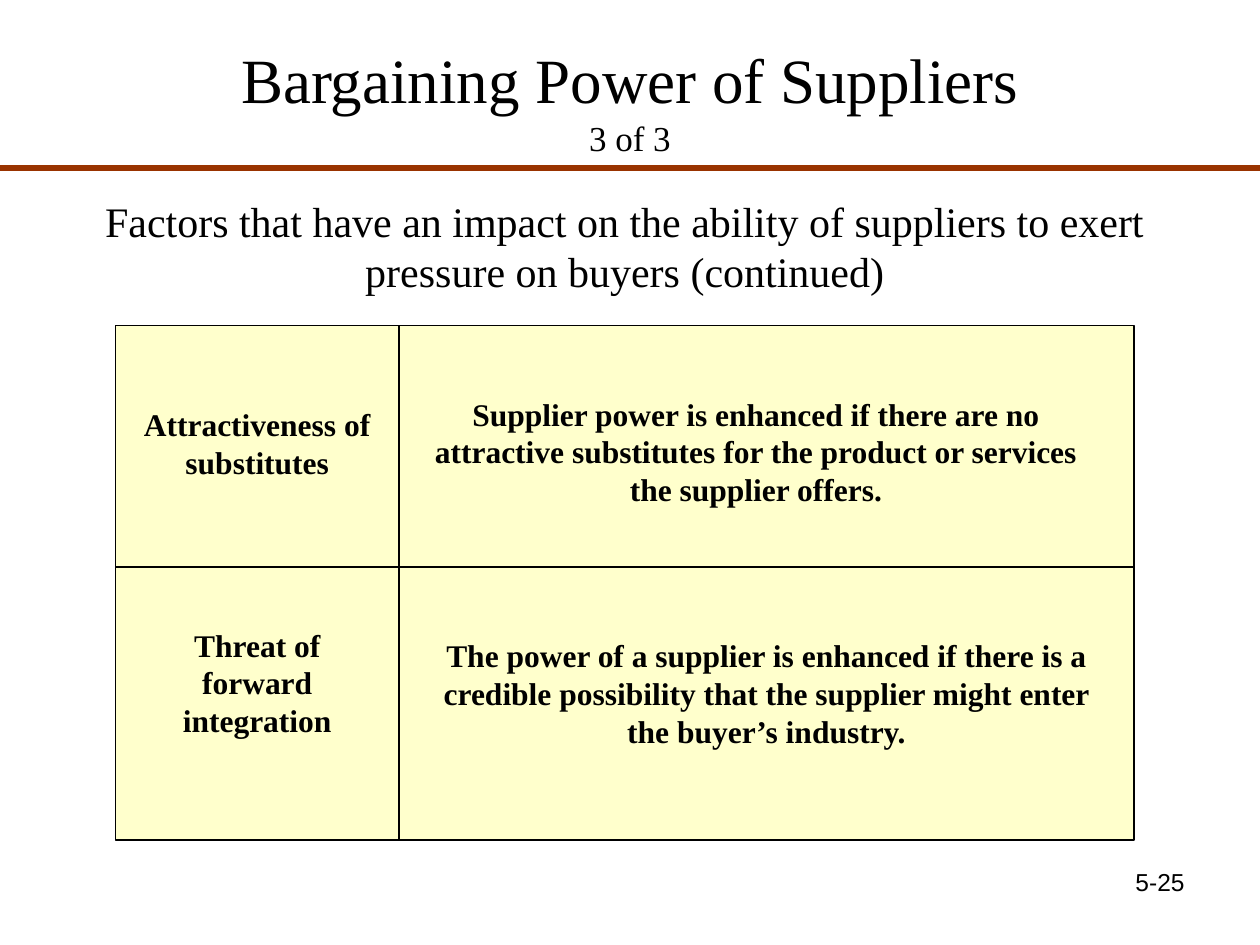
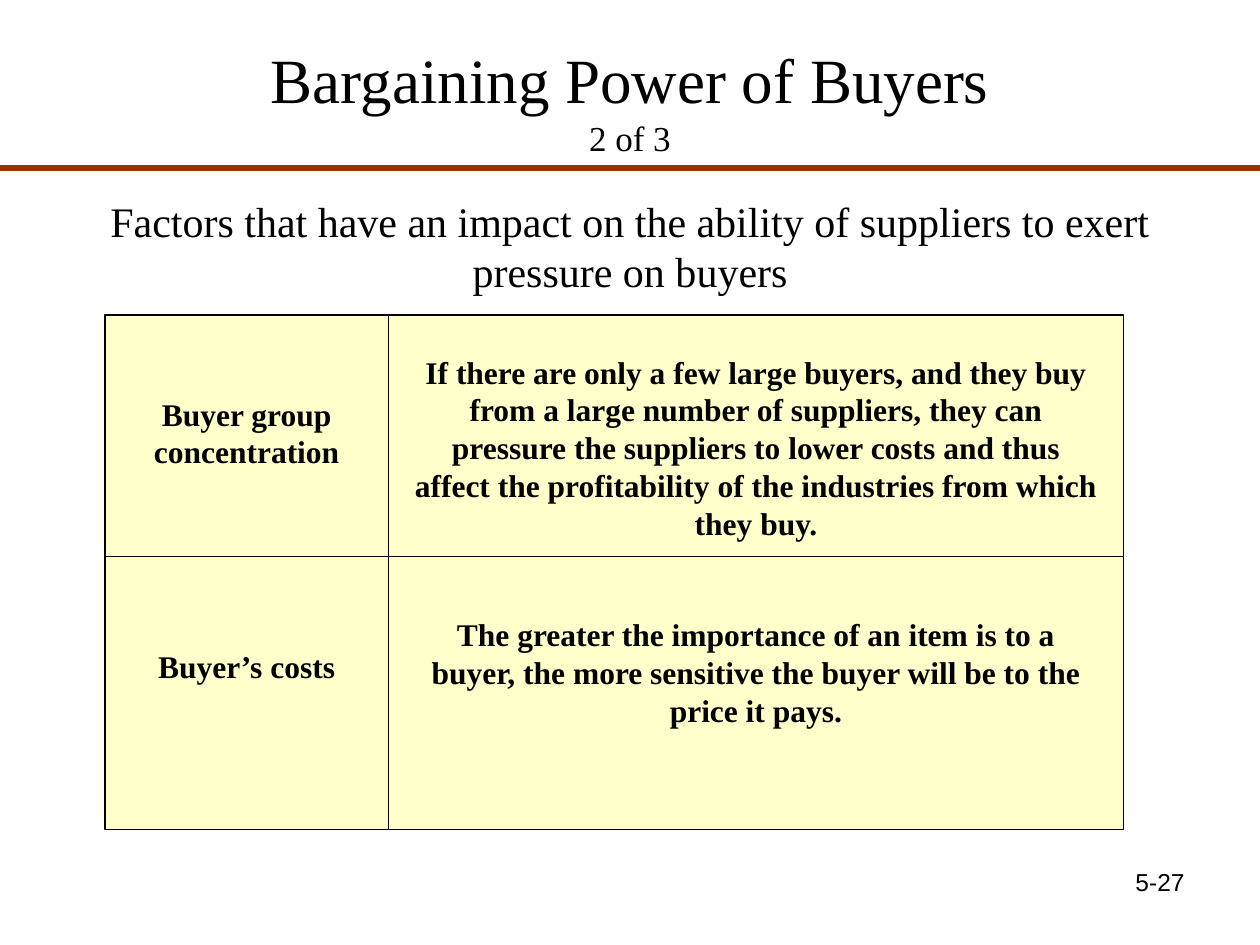
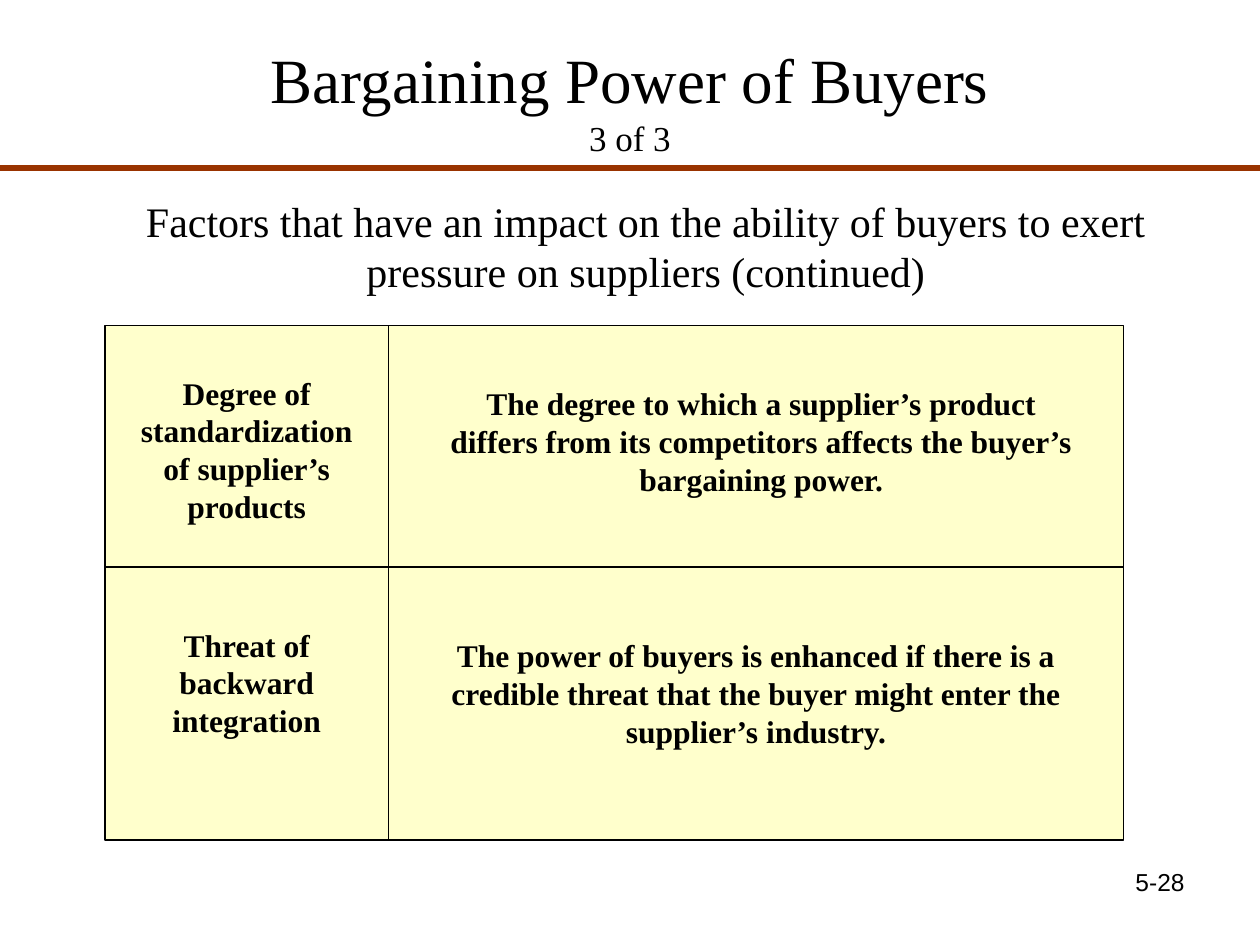
import dataclasses

import lxml.etree
import pptx
import pptx.dml.color
import pptx.enum.shapes
import pptx.enum.text
import pptx.oxml.ns
import pptx.util

Pt = pptx.util.Pt
BLACK = pptx.dml.color.RGBColor(0x00, 0x00, 0x00)
RUST = pptx.dml.color.RGBColor(0x99, 0x33, 0x00)
CREAM = pptx.dml.color.RGBColor(0xFF, 0xFF, 0xCC)
SERIF = "Times New Roman"
SANS = "Arial"
ALIGN = pptx.enum.text.PP_ALIGN

SLIDE_WIDTH, SLIDE_HEIGHT = 720, 540
TITLE_BOX = (36, 12, 648, 90)
BAND_TOP = 96
NUMBER_BOX = (516, 492, 168, 37.5)
GRID_WIDTH, GRID_HEIGHT = 582, 294
LABEL_WIDTH, FIRST_ROW_HEIGHT = 162, 138
CELL_MARGIN = 6
GRID_LINE = 0.74


@dataclasses.dataclass
class Factor:
    """One grid row: texts, their drop within the row and the detail's side margin."""

    label: str
    label_drop: float
    detail: str
    detail_drop: float
    detail_indent: float = CELL_MARGIN
    detail_width: float = 408


@dataclasses.dataclass
class FactorSlide:
    """The content of one slide."""

    title: str
    subtitle: str
    heading: str
    heading_box: tuple
    grid_origin: tuple
    factors: tuple
    number: str


SLIDES = (
    FactorSlide(
        "Bargaining Power of Suppliers", "3 of 3",
        "Factors that have an impact on the ability of suppliers to exert "
        "pressure on buyers (continued)",
        (48, 108, 618, 65), (66, 186),
        (
            Factor("Attractiveness of substitutes", 42,
                   "Supplier power is enhanced if there are no attractive substitutes "
                   "for the product or services the supplier offers.", 36, 0),
            Factor("Threat of forward integration", 30,
                   "The power of a supplier is enhanced if there is a credible possibility "
                   "that the supplier might enter the buyer’s industry.", 36),
        ),
        "5-25",
    ),
    FactorSlide(
        "Bargaining Power of Buyers", "2 of 3",
        "Factors that have an impact on the ability of suppliers to exert "
        "pressure on buyers",
        (42, 108, 636, 65), (60, 180),
        (
            Factor("Buyer group concentration", 42,
                   "If there are only a few large buyers, and they buy from a large number "
                   "of suppliers, they can pressure the suppliers to lower costs and thus "
                   "affect the profitability of the industries from which they buy.", 18),
            Factor("Buyer’s costs", 48,
                   "The greater the importance of an item is to a buyer, the more sensitive "
                   "the buyer will be to the price it pays.", 30),
        ),
        "5-27",
    ),
    FactorSlide(
        "Bargaining Power of Buyers", "3 of 3",
        "Factors that have an impact on the ability of buyers to exert "
        "pressure on suppliers (continued)",
        (42, 108, 654, 65), (60, 186),
        (
            Factor("Degree of standardization of supplier’s products", 24,
                   "The degree to which a supplier’s product differs from its competitors "
                   "affects the buyer’s bargaining power.", 30, 24, 378),
            Factor("Threat of backward integration", 30,
                   "The power of buyers is enhanced if there is a credible threat that the "
                   "buyer might enter the supplier’s industry.", 36),
        ),
        "5-28",
    ),
)


def add_run(paragraph, text, size, font=SERIF, bold=False):
    """Append a formatted black run to a paragraph."""
    run = paragraph.add_run()
    run.text = text
    run.font.name = font
    run.font.size = Pt(size)
    run.font.bold = bold
    run.font.color.rgb = BLACK


def add_text(slide, box, text, size, space_before=0, font=SERIF, bold=False,
             alignment=ALIGN.CENTER, grow=True):
    """Place a wrapped one-paragraph text box."""
    shape = slide.shapes.add_textbox(*map(Pt, box))
    frame = shape.text_frame
    frame.word_wrap = True
    if grow:
        frame.auto_size = pptx.enum.text.MSO_AUTO_SIZE.SHAPE_TO_FIT_TEXT
    paragraph = frame.paragraphs[0]
    paragraph.alignment = alignment
    paragraph.space_before = Pt(space_before)
    add_run(paragraph, text, size, font, bold)


def add_line(slide, start, end, color, width):
    """Draw a straight line without a shadow."""
    line = slide.shapes.add_connector(
        pptx.enum.shapes.MSO_CONNECTOR.STRAIGHT, *map(Pt, start + end))
    line.line.color.rgb = color
    line.line.width = Pt(width)
    lxml.etree.SubElement(line._element.spPr, pptx.oxml.ns.qn("a:effectLst"))


def add_title(slide, box, title, subtitle):
    """Fill the title placeholder with a title and a smaller second line."""
    shape = slide.shapes.title
    shape.left, shape.top, shape.width, shape.height = map(Pt, box)
    frame = shape.text_frame
    frame.vertical_anchor = pptx.enum.text.MSO_ANCHOR.MIDDLE
    frame.auto_size = pptx.enum.text.MSO_AUTO_SIZE.NONE
    paragraph = frame.paragraphs[0]
    paragraph.alignment = ALIGN.CENTER
    add_run(paragraph, title, 36)
    paragraph.add_line_break()
    add_run(paragraph, subtitle, 20)


def add_grid(slide, origin, factors):
    """Draw the two-by-two grid of factors from its top left corner."""
    left, top = origin
    right, bottom = left + GRID_WIDTH, top + GRID_HEIGHT
    divider, middle = left + LABEL_WIDTH, top + FIRST_ROW_HEIGHT
    panel = slide.shapes.add_shape(
        pptx.enum.shapes.MSO_SHAPE.RECTANGLE,
        *map(Pt, (left, top, GRID_WIDTH, GRID_HEIGHT)))
    panel.shadow.inherit = False
    panel.fill.solid()
    panel.fill.fore_color.rgb = CREAM
    panel.line.color.rgb = BLACK
    panel.line.width = Pt(GRID_LINE)
    add_line(slide, (left, middle), (right, middle), BLACK, GRID_LINE)
    add_line(slide, (divider, top), (divider, bottom), BLACK, GRID_LINE)
    label_width = LABEL_WIDTH - 2 * CELL_MARGIN
    for row_top, factor in zip((top, middle), factors):
        label_box = (left + CELL_MARGIN, row_top + factor.label_drop, label_width, 50.4)
        detail_box = (divider + factor.detail_indent, row_top + factor.detail_drop,
                      factor.detail_width, 72)
        add_text(slide, label_box, factor.label, 18, 11.2, bold=True)
        add_text(slide, detail_box, factor.detail, 18, 11.2, bold=True)


def add_factor_slide(presentation, content):
    """Add one slide with title, band, heading, grid and number."""
    slide = presentation.slides.add_slide(presentation.slide_layouts[5])
    add_title(slide, TITLE_BOX, content.title, content.subtitle)
    add_line(slide, (0, BAND_TOP), (SLIDE_WIDTH, BAND_TOP), RUST, 3)
    add_text(slide, content.heading_box, content.heading, 24, 15)
    add_grid(slide, content.grid_origin, content.factors)
    add_text(slide, NUMBER_BOX, content.number, 14, font=SANS,
             alignment=ALIGN.RIGHT, grow=False)


def main():
    """Build and save the presentation."""
    presentation = pptx.Presentation()
    presentation.slide_width = Pt(SLIDE_WIDTH)
    presentation.slide_height = Pt(SLIDE_HEIGHT)
    for content in SLIDES:
        add_factor_slide(presentation, content)
    presentation.save("out.pptx")


main()
